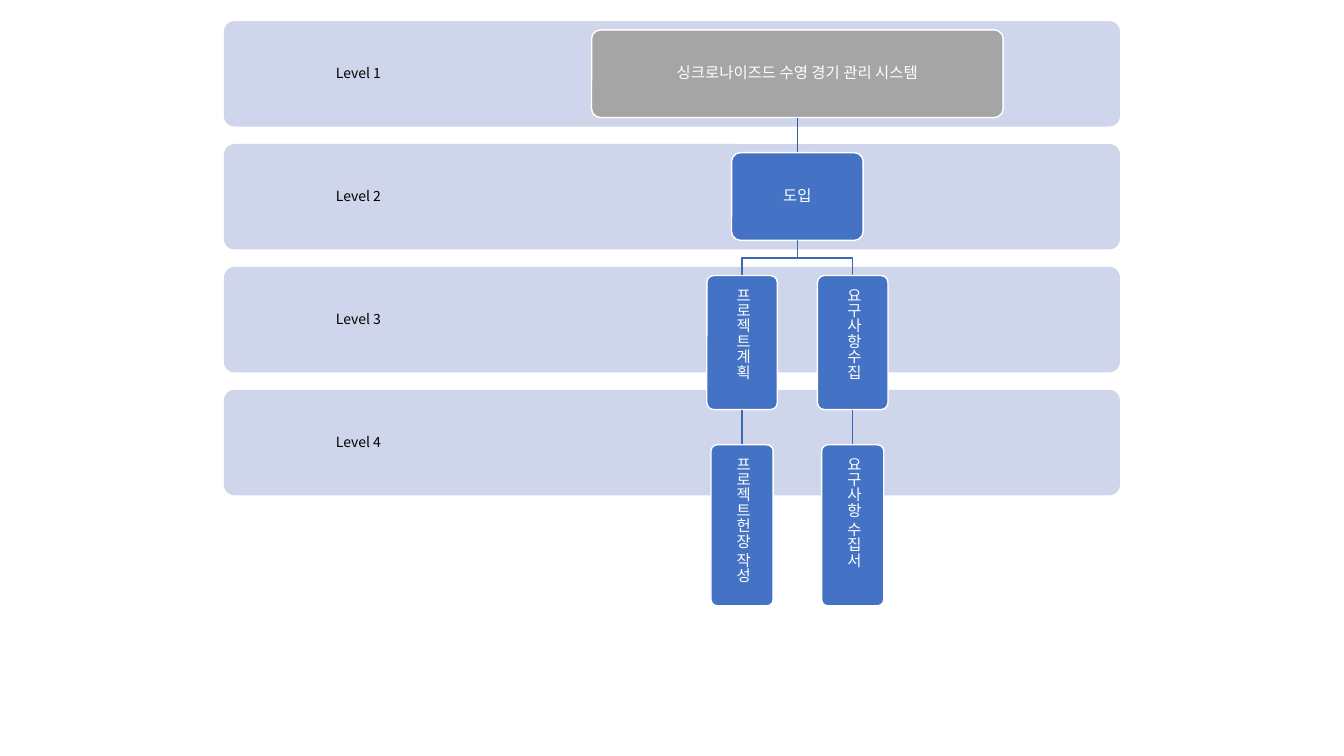
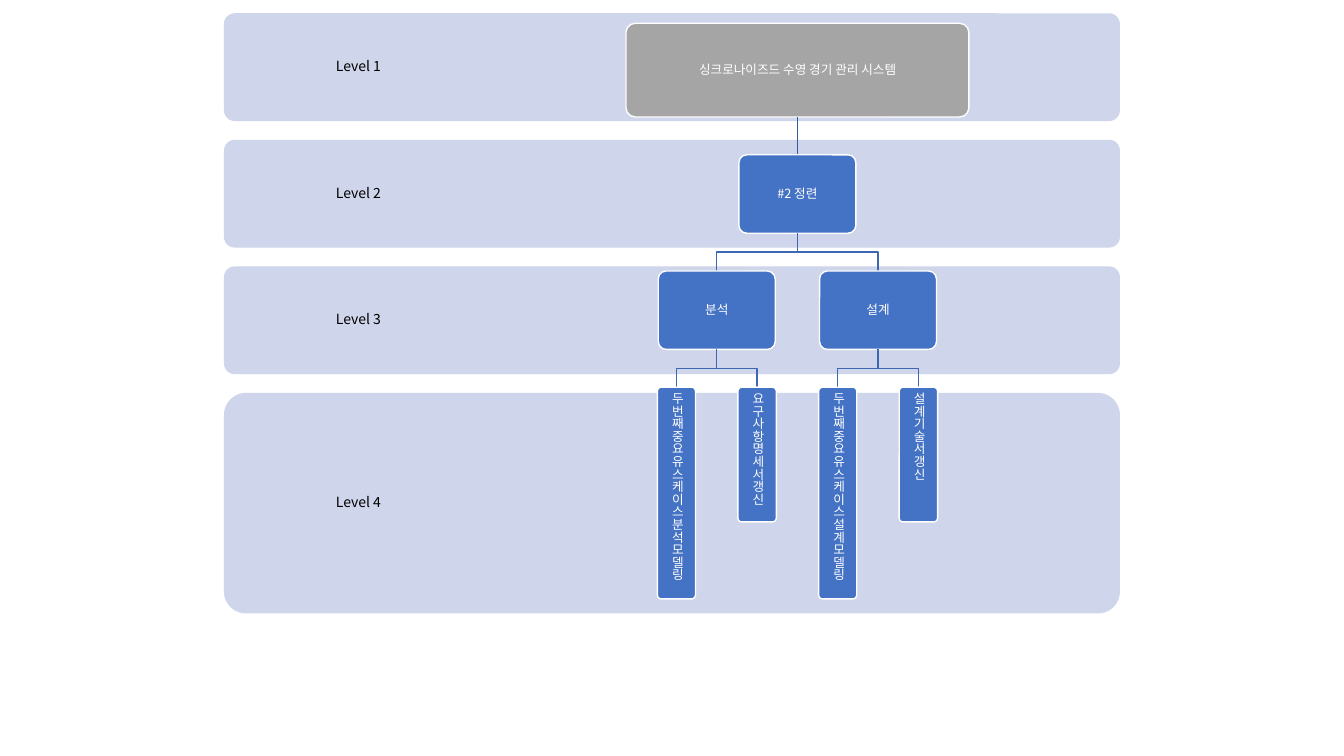
from lxml.etree import SubElement
from pptx import Presentation
from pptx.dml.color import RGBColor
from pptx.enum.shapes import MSO_CONNECTOR as LINK, MSO_SHAPE as SHAPE
from pptx.enum.text import MSO_ANCHOR as ANCHOR, PP_ALIGN as ALIGN
from pptx.oxml.ns import qn
from pptx.util import Pt

ROOT = "싱크로나이즈드 수영 경기 관리 시스템"
FONT = "Noto Sans CJK KR"
WHITE, BLACK, BAND, GREY, BLUE = "FFFFFF", "000000", "CFD5EA", "A5A5A5", "4472C4"
DARK, EDGE = "365B9D", "3E67B2"
LEFT, WIDE, LABEL, MID = 160, 640, 192, 569.6

# Each node is (text, width, height, children).
CHARTS = [
    {
        "top": 15.1, "space": 12.5, "bands": [75.3] * 4,
        "start": 21.4, "gap": 25.1, "pitch": 79, "size": 11, "inset": 3.6,
        "tree": (ROOT, 294, 62.6, [
            ("도입", 94, 62.6, [
                ("프로젝트계획", 50.4, 95.8, [
                    ("프로젝트헌장 작성", 44.4, 115, [])]),
                ("요구사항수집", 50.4, 95.8, [
                    ("요구사항 수집서", 44.4, 115, [])]),
            ]),
        ]),
    },
    {
        "top": 9.5, "space": 13.4, "bands": [77, 77, 77, 157.5],
        "start": 16.6, "gap": 27, "pitch": 57.6, "size": 9, "inset": 2.9,
        "tree": (ROOT, 245, 67, [
            ("#2 정련", 83.5, 56, [
                ("분석", 83.5, 56, [
                    ("두번째중요유스케이스분석모델링", 27.2, 151.2, []),
                    ("요구사항명세서갱신", 27.4, 96.2, [])]),
                ("설계", 83.5, 56, [
                    ("두번째중요유스케이스설계모델링", 27.2, 151.2, []),
                    ("설계기술서갱신", 27.4, 96.2, [])]),
            ]),
        ]),
    },
]


def paint(color, tone):
    """Set a colour from a hex string."""
    color.rgb = RGBColor.from_string(tone)


def write(frame, text, size, tone, inset):
    """Put one centred paragraph into a text frame."""
    frame.word_wrap = True
    frame.vertical_anchor = ANCHOR.MIDDLE
    frame.margin_left = frame.margin_right = Pt(inset)
    frame.margin_top = frame.margin_bottom = Pt(inset)
    par = frame.paragraphs[0]
    par.text = text
    par.alignment = ALIGN.CENTER
    par.line_spacing = 0.9
    par.font.size = Pt(size)
    par.font.name = FONT
    paint(par.font.color, tone)
    props = par._p.pPr.find(qn("a:defRPr"))
    SubElement(props, qn("a:ea")).set("typeface", FONT)


def add_box(slide, left, top, width, height, tone):
    """Add a plain rounded box without a line."""
    box = slide.shapes.add_shape(
        SHAPE.ROUNDED_RECTANGLE, Pt(left), Pt(top), Pt(width), Pt(height))
    box.adjustments[0] = 0.1
    box.shadow.inherit = False
    box.fill.solid()
    paint(box.fill.fore_color, tone)
    box.line.fill.background()
    return box


def add_bands(slide, chart):
    """Stack the level bands with their labels."""
    top = chart["top"]
    for level, height in enumerate(chart["bands"], 1):
        add_box(slide, LEFT, top, WIDE, height, BAND)
        label = slide.shapes.add_textbox(
            Pt(LEFT), Pt(top), Pt(LABEL), Pt(height))
        write(label.text_frame, f"Level {level}", 10, BLACK, 5.6)
        top += height + chart["space"]


def add_link(slide, x, top, kid_x, low, tone):
    """Join a parent to a child, with an elbow if they are not in line."""
    if x == kid_x:
        link = slide.shapes.add_connector(
            LINK.STRAIGHT, Pt(x), Pt(top), Pt(x), Pt(low))
        SubElement(link._element.spPr, qn("a:effectLst"))
    else:
        bend = (top + low) / 2
        path = slide.shapes.build_freeform(Pt(x), Pt(top))
        turns = [(x, bend), (kid_x, bend), (kid_x, low)]
        path.add_line_segments([(Pt(a), Pt(b)) for a, b in turns], close=False)
        link = path.convert_to_shape()
        link.fill.background()
        link.shadow.inherit = False
    paint(link.line.color, tone)
    link.line.width = Pt(1)


def span(node):
    """Count the leaves below a node."""
    return sum(map(span, node[3])) or 1


def add_node(slide, chart, node, x, top, is_root=False):
    """Draw a node centred on x, then its links and children."""
    text, width, height, kids = node
    box = add_box(slide, x - width / 2, top, width, height,
                  GREY if is_root else BLUE)
    paint(box.line.color, WHITE)
    box.line.width = Pt(1)
    write(box.text_frame, text, chart["size"], WHITE, chart["inset"])
    if height > width:
        box.text_frame._txBody.bodyPr.set("vert", "eaVert")
    end = top + height
    low = end + chart["gap"]
    pitch = chart["pitch"]
    side = x - pitch * span(node) / 2
    for kid in kids:
        room = pitch * span(kid)
        kid_x = x if len(kids) == 1 else side + room / 2
        add_link(slide, x, end, kid_x, low, DARK if is_root else EDGE)
        add_node(slide, chart, kid, kid_x, low)
        side += room


def main():
    """Build one slide for each chart."""
    deck = Presentation()
    deck.slide_width, deck.slide_height = Pt(960), Pt(540)
    blank = deck.slide_layouts[6]
    for chart in CHARTS:
        slide = deck.slides.add_slide(blank)
        add_bands(slide, chart)
        add_node(slide, chart, chart["tree"], MID, chart["start"], True)
    deck.save("out.pptx")


main()
